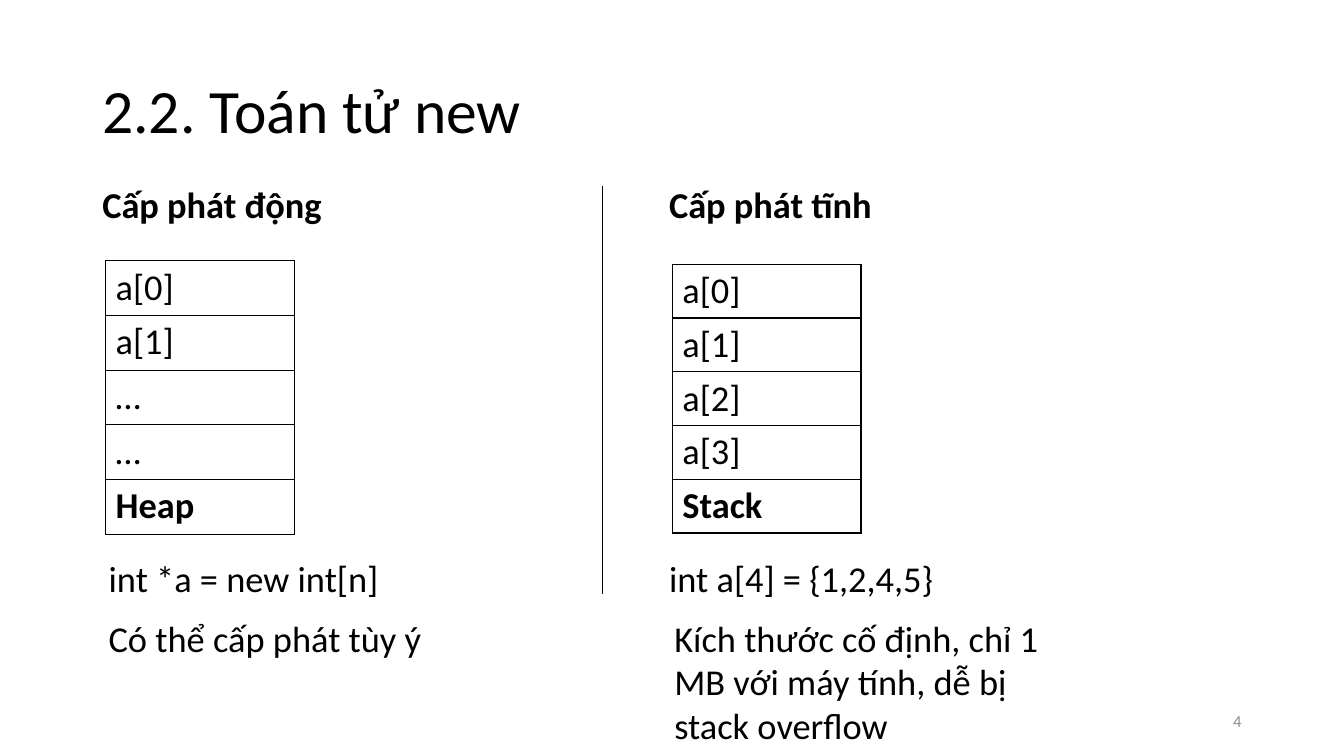
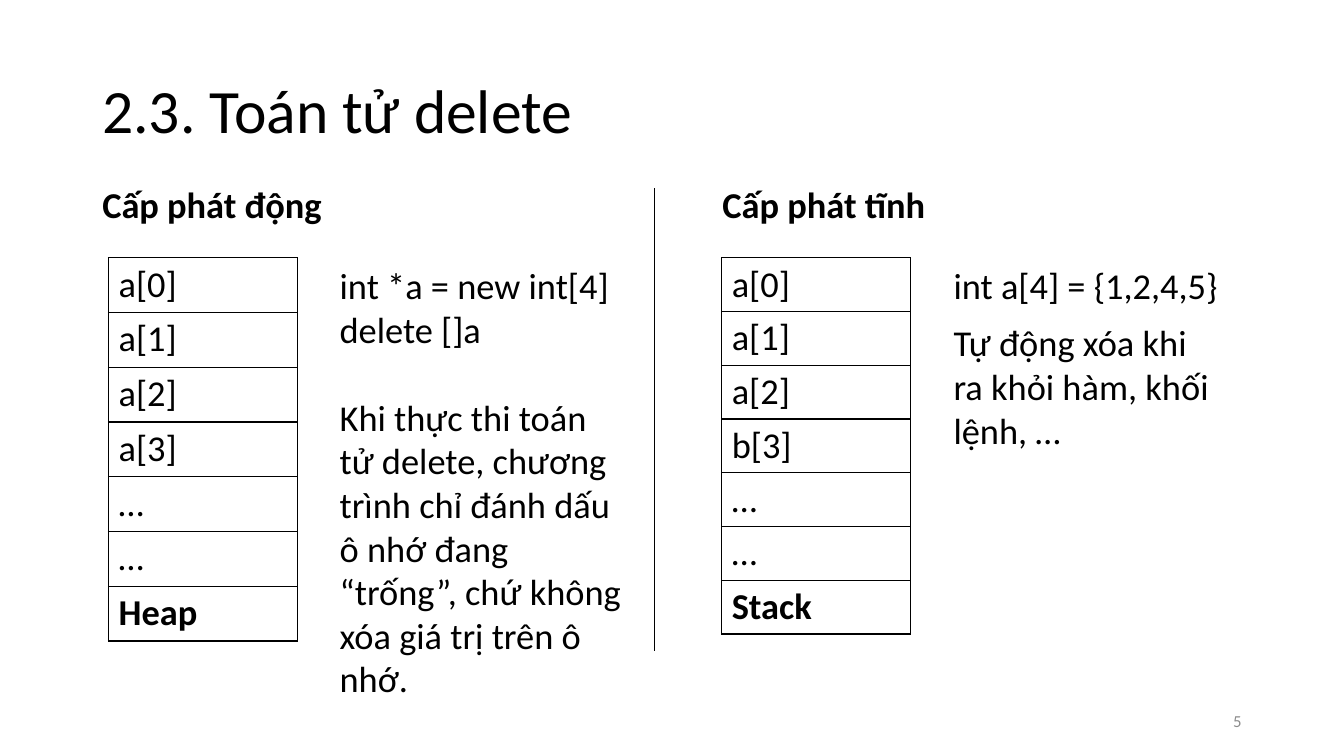
from dataclasses import dataclass

from lxml.etree import SubElement
from pptx import Presentation
from pptx.dml.color import RGBColor
from pptx.enum.shapes import MSO_CONNECTOR as Connector
from pptx.enum.text import MSO_ANCHOR as Anchor, PP_ALIGN as Align
from pptx.oxml import parse_xml
from pptx.oxml.ns import nsdecls, qn
from pptx.util import Pt

BLACK = RGBColor(0, 0, 0)
WHITE = RGBColor(255, 255, 255)
GREY = RGBColor(0x8C, 0x8C, 0x8C)
FONT = "Calibri"
BODY_SIZE = 26
LINE_HEIGHT = 31.7
TEXT_HEIGHT = 39
COLUMN_TOP = 126.8
TABLE_WIDTH = 134.8
CELL_PADDING = 3.3


@dataclass
class Note:
    dx: float
    dy: float
    width: float
    lines: tuple
    height: float = TEXT_HEIGHT
    last_gap: float = 0


@dataclass
class Column:
    left: float
    heading: str
    cells: tuple
    table_dx: float
    table_dy: float
    row_height: float
    notes: tuple


def format_text(frame, lines, size=BODY_SIZE, color=BLACK, bold=False,
                align=Align.LEFT, anchor=Anchor.TOP, spacing=1.0, last_gap=0):
    frame.word_wrap = True
    frame.vertical_anchor = anchor
    for index, line in enumerate(lines):
        para = frame.paragraphs[0] if index == 0 else frame.add_paragraph()
        para.alignment = align
        para.line_spacing = spacing
        span = para.add_run()
        span.text = line
        span.font.name = FONT
        span.font.size = Pt(size)
        span.font.bold = bold
        span.font.color.rgb = color
    if last_gap:
        para.space_before = Pt(last_gap)


def add_text(page, box, *lines, **style):
    shape = page.shapes.add_textbox(*map(Pt, box))
    format_text(shape.text_frame, lines, **style)


def outline_cell(cell):
    for index, side in enumerate(("lnL", "lnR", "lnT", "lnB")):
        border = parse_xml(
            f'<a:{side} {nsdecls("a")} w="12700"><a:solidFill>'
            f'<a:srgbClr val="{BLACK}"/></a:solidFill></a:{side}>')
        cell._tc.get_or_add_tcPr().insert(index, border)


def add_memory_table(page, left, top, row_height, labels):
    box = left, top, TABLE_WIDTH, row_height * len(labels)
    table = page.shapes.add_table(len(labels), 1, *map(Pt, box)).table
    table.first_row = table.horz_banding = False
    for row, label in zip(table.rows, labels):
        row.height = Pt(row_height)
        cell = row.cells[0]
        cell.margin_top = cell.margin_bottom = Pt(CELL_PADDING)
        cell.fill.solid()
        cell.fill.fore_color.rgb = WHITE
        format_text(cell.text_frame, [label], bold=label == labels[-1])
        outline_cell(cell)


def add_column(page, column, top):
    add_text(page, (column.left, top, 280, TEXT_HEIGHT), column.heading, bold=True)
    add_memory_table(page, column.left + column.table_dx, top + column.table_dy,
                     column.row_height, column.cells)
    for note in column.notes:
        box = column.left + note.dx, top + note.dy, note.width, note.height
        add_text(page, box, *note.lines, last_gap=note.last_gap)


def add_divider(page, left, top, bottom):
    line = page.shapes.add_connector(
        Connector.STRAIGHT, Pt(left), Pt(bottom), Pt(left), Pt(top))
    line.line.color.rgb = BLACK
    line.line.width = Pt(0.5)
    SubElement(line._element.spPr, qn("a:effectLst"))


def add_comparison(deck, title, number, divider, columns):
    page = deck.slides.add_slide(deck.slide_layouts[6])
    add_text(page, (66, 28.8, 828, 104.4), title, size=44,
             anchor=Anchor.MIDDLE, spacing=0.9)
    add_divider(page, *divider)
    for column in columns:
        add_column(page, column, COLUMN_TOP)
    add_text(page, (678, 500.5, 216, 28.8), number, size=12, color=GREY,
             align=Align.RIGHT, anchor=Anchor.MIDDLE)


def main():
    deck = Presentation()
    deck.slide_width, deck.slide_height = Pt(960), Pt(540)
    dynamic, static = "Cấp phát động", "Cấp phát tĩnh"
    static_code = "int a[4] = {1,2,4,5}"

    add_comparison(deck, "2.2. Toán tử new", "4", (430.5, 133.2, 424), (
        Column(66, dynamic, ("a[0]", "a[1]", "…", "…", "Heap"), 9.4, 59.4, 39.1, (
            Note(4.5, 267, 220, ("int *a = new int[n]",)),
            Note(4.5, 309.5, 280, ("Có thể cấp phát tùy ý",)))),
        Column(470.8, static, ("a[0]", "a[1]", "a[2]", "a[3]", "Stack"), 9.4, 62, 38.4, (
            Note(0, 267, 220, (static_code,)),
            Note(3.8, 309.5, 280,
                 ("Kích thước cố định, chỉ 1 MB với máy tính, dễ bị stack overflow",),
                 height=101.5)))))

    add_comparison(deck, "2.3. Toán tử delete", "5", (467.5, 134, 465), (
        Column(66, dynamic, ("a[0]", "a[1]", "a[2]", "a[3]", "…", "…", "Heap"),
               11.5, 57.4, 39.1, (
            Note(169.5, 57.5, 220,
                 ("int *a = new int[4]", "delete []a",
                  "Khi thực thi toán tử delete, chương trình chỉ đánh dấu ô nhớ "
                  "đang “trống”, chứ không xóa giá trị trên ô nhớ."),
                 height=322.5, last_gap=LINE_HEIGHT),)),
        Column(509, static, ("a[0]", "a[1]", "a[2]", "b[3]", "…", "…", "Stack"),
               6.5, 57.4, 38.4, (
            Note(165, 57.5, 220, (static_code,)),
            Note(165, 98.5, 206.5, ("Tự động xóa khi ra khỏi hàm, khối lệnh, …",),
                 height=101.5)))))

    deck.save("out.pptx")


if __name__ == "__main__":
    main()
